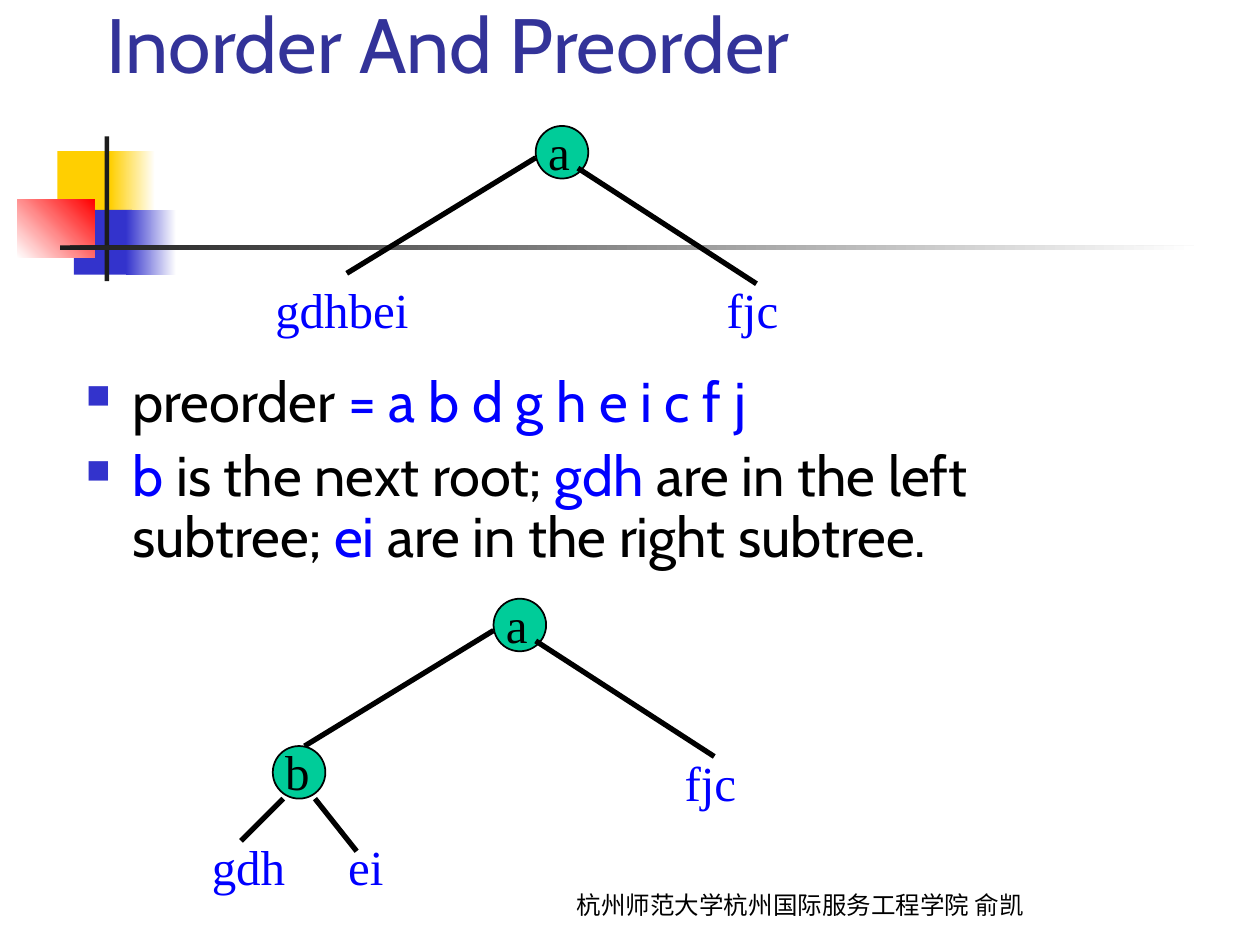
from lxml import etree
from pptx import Presentation
from pptx.dml.color import RGBColor
from pptx.enum.shapes import MSO_CONNECTOR, MSO_SHAPE
from pptx.enum.text import MSO_ANCHOR, MSO_AUTO_SIZE, PP_ALIGN
from pptx.oxml.ns import qn
from pptx.util import Cm, Pt

STRAIGHT = MSO_CONNECTOR.STRAIGHT
OVAL = MSO_SHAPE.OVAL
RECTANGLE = MSO_SHAPE.RECTANGLE
ROUNDED = MSO_SHAPE.ROUNDED_RECTANGLE
BOTTOM = MSO_ANCHOR.BOTTOM
NO_FIT = MSO_AUTO_SIZE.NONE
LEFT, CENTER = PP_ALIGN.LEFT, PP_ALIGN.CENTER

COLORS = {
    "title": "333399", "text": "000000", "accent": "0000FF", "node": "00CC99",
    "yellow": "FFCF01", "blue": "3333CC", "red": "FF0000",
    "bar": "1C1C1C", "white": "FFFFFF",
}
SANS, SERIF = "Cabin", "Times New Roman"
NODE_SIZE = 1.06
LABEL_HEIGHT = 1.45


def rgb(name):
    return RGBColor.from_string(COLORS[name])


def format_font(font, name, size, color):
    font.name = name
    font.size = Pt(size)
    font.color.rgb = rgb(color)


def add_textbox(shapes, left, top, width, height):
    textbox = shapes.add_textbox(Cm(left), Cm(top), Cm(width), Cm(height))
    textbox.text_frame.word_wrap = True
    return textbox.text_frame


def add_block(shapes, kind, left, top, width, height, colors, angle=0):
    block = shapes.add_shape(kind, Cm(left), Cm(top), Cm(width), Cm(height))
    block.shadow.inherit = False
    block.line.fill.background()
    if kind == ROUNDED:
        block.adjustments[0] = 0.01
    if len(colors) == 1:
        block.fill.solid()
        block.fill.fore_color.rgb = rgb(colors[0])
        return
    block.fill.gradient()
    block.fill.gradient_angle = angle
    for stop, color, position in zip(block.fill.gradient_stops, colors, (0, 1)):
        stop.color.rgb = rgb(color)
        stop.position = position


def add_ornament(shapes, left, top):
    blocks = [
        (RECTANGLE, 0.81, 0.3, 1.21, 1.33, ["yellow"]),
        (RECTANGLE, 1.87, 0.3, 0.91, 1.33, ["yellow", "white"]),
        (RECTANGLE, 1.14, 1.48, 1.17, 1.31, ["blue"]),
        (RECTANGLE, 2.19, 1.48, 1.01, 1.31, ["blue", "white"]),
        (ROUNDED, 0, 1.27, 1.56, 1.18, ["white", "red"], 45),
        (RECTANGLE, 1.76, 0, 0.09, 2.92, ["bar"]),
        (ROUNDED, 0.86, 2.2, 22.86, 0.09, ["bar", "white"]),
    ]
    for kind, x, y, *rest in blocks:
        add_block(shapes, kind, left + x, top + y, *rest)


def add_title(slide, left, top, width, height):
    title = slide.shapes.title
    title.left, title.top = Cm(left), Cm(top)
    title.width, title.height = Cm(width), Cm(height)
    frame = title.text_frame
    frame.text = "Inorder And Preorder"
    frame.auto_size = NO_FIT
    frame.vertical_anchor = BOTTOM
    paragraph = frame.paragraphs[0]
    paragraph.alignment = LEFT
    format_font(paragraph.runs[0].font, SANS, 44, "title")


def add_bullet(paragraph):
    properties = paragraph._p.get_or_add_pPr()
    properties.set("marL", str(Cm(0.94)))
    properties.set("indent", str(-Cm(0.94)))
    color = etree.SubElement(properties, qn("a:buClr"))
    etree.SubElement(color, qn("a:srgbClr"), val=COLORS["blue"])
    etree.SubElement(properties, qn("a:buSzPct"), val="60000")
    etree.SubElement(properties, qn("a:buChar"), char="■")


def add_explanation(shapes, left, top, width, height):
    items = [
        [("preorder ", "text"), ("= a b d g h e i c f j", "accent")],
        [("b ", "accent"), ("is the next root; ", "text"),
         ("gdh ", "accent"), ("are in the left subtree; ", "text"),
         ("ei ", "accent"), ("are in the right subtree.", "text")],
    ]
    frame = add_textbox(shapes, left, top, width, height)
    for index, item in enumerate(items):
        paragraph = frame.add_paragraph() if index else frame.paragraphs[0]
        add_bullet(paragraph)
        paragraph.line_spacing = 0.9
        paragraph.space_before = Pt(7.9 if index else 0)
        for text, color in item:
            run = paragraph.add_run()
            run.text = text
            format_font(run.font, SANS, 32, color)


def add_label(shapes, text, left, top, width, color="accent"):
    frame = add_textbox(shapes, left, top, width, LABEL_HEIGHT)
    frame.text = text
    format_font(frame.paragraphs[0].runs[0].font, SERIF, 28, color)


def add_node(shapes, text, left, top):
    node = shapes.add_shape(OVAL, Cm(left), Cm(top), Cm(NODE_SIZE), Cm(NODE_SIZE))
    node.shadow.inherit = False
    node.fill.solid()
    node.fill.fore_color.rgb = rgb("node")
    node.line.color.rgb = rgb("text")
    node.line.width = Pt(1)
    add_label(shapes, text, left, top - 0.21, 2.12, "text")


def add_edge(shapes, left, top, start, end):
    edge = shapes.add_connector(
        STRAIGHT, Cm(left + start[0]), Cm(top + start[1]),
        Cm(left + end[0]), Cm(top + end[1]))
    edge.line.color.rgb = rgb("text")
    edge.line.width = Pt(3)
    etree.SubElement(edge._element.spPr, qn("a:effectLst"))


def add_root(shapes, left, top):
    add_node(shapes, "a", left, top)
    add_edge(shapes, left, top, (0, 0.64), (-3.81, 2.97))
    add_edge(shapes, left, top, (0.85, 0.85), (4.45, 3.18))
    add_label(shapes, "fjc", left + 3.6, top + 2.97, 3.6)


def add_first_tree(slide, left, top):
    shapes = slide.shapes.add_group_shape().shapes
    add_root(shapes, left, top)
    add_label(shapes, "gdhbei", left - 5.5, top + 2.97, 3.6)


def add_second_tree(slide, left, top):
    shapes = slide.shapes.add_group_shape().shapes
    add_root(shapes, left, top)
    branch_left, branch_top = left - 4.45, top + 2.97
    add_node(shapes, "b", branch_left, branch_top)
    add_edge(shapes, branch_left, branch_top, (0.21, 1.06), (-0.64, 1.91))
    add_edge(shapes, branch_left, branch_top, (0.85, 1.06), (1.69, 2.12))
    add_label(shapes, "gdh", branch_left - 1.48, branch_top + 1.69, 2.12)
    add_label(shapes, "ei", branch_left + 1.27, branch_top + 1.69, 1.7)


def add_footer(shapes, left, top, width, height):
    frame = add_textbox(shapes, left, top, width, height)
    frame.text = "杭州师范大学杭州国际服务工程学院 俞凯"
    frame.vertical_anchor = BOTTOM
    paragraph = frame.paragraphs[0]
    paragraph.alignment = CENTER
    paragraph.line_spacing = 0.96
    format_font(paragraph.runs[0].font, SANS, 14, "text")


def main():
    presentation = Presentation()
    presentation.slide_width, presentation.slide_height = Cm(25.4), Cm(19.05)
    slide = presentation.slides.add_slide(presentation.slide_layouts[5])
    add_ornament(slide.shapes, 0.35, 2.75)
    add_footer(slide.shapes, 10.31, 17.83, 11.66, 0.84)
    add_title(slide, 1.9, 0.43, 21.59, 1.48)
    add_explanation(slide.shapes, 1.48, 7.41, 21.59, 5.08)
    add_first_tree(slide, 10.8, 2.54)
    add_second_tree(slide, 9.95, 12.07)
    presentation.save("out.pptx")


if __name__ == "__main__":
    main()
